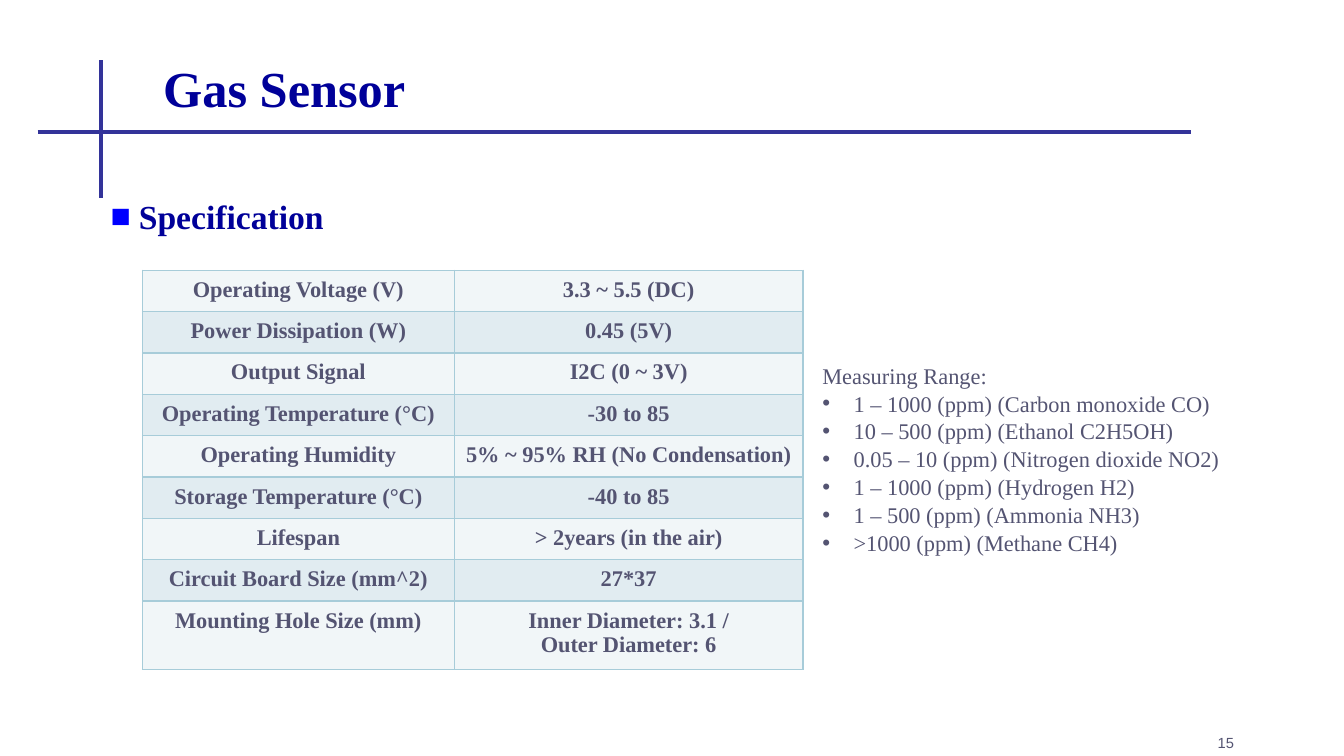
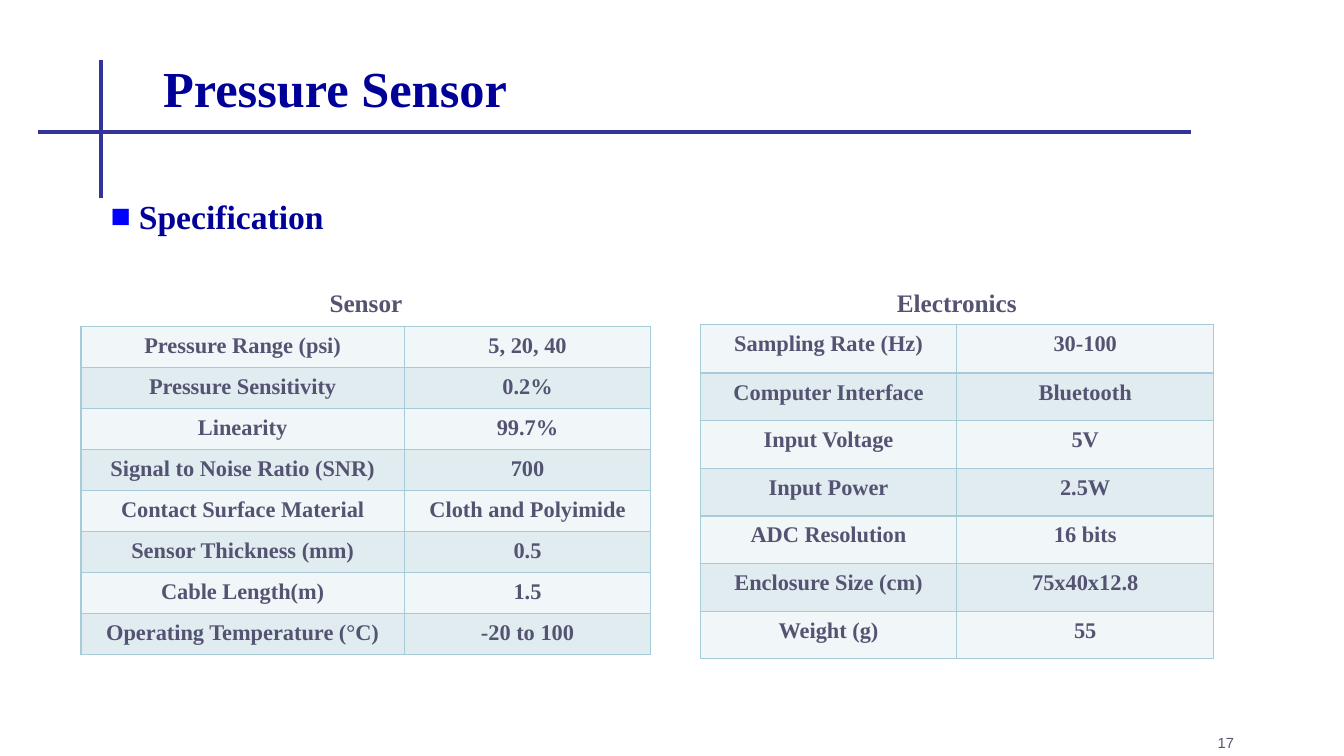
from dataclasses import dataclass

from lxml.etree import SubElement
from pptx import Presentation
from pptx.dml.color import RGBColor
from pptx.enum.shapes import MSO_CONNECTOR as Connector
from pptx.enum.text import MSO_ANCHOR as Anchor, PP_ALIGN as Align
from pptx.oxml.ns import qn
from pptx.util import Inches, Pt


@dataclass(frozen=True)
class Theme:
    """Colours, fonts and sizes shared by all slides."""
    rule: str = "333399"
    heading: str = "000099"
    marker: str = "0000FF"
    text: str = "545472"
    border: str = "A7CCD9"
    bands: tuple = ("F1F6F8", "E1ECF1")
    serif: str = "Times New Roman"
    sans: str = "Arial"
    title_size: float = 36
    section_size: float = 24
    caption_size: float = 18
    body_size: float = 16
    number_size: float = 10.5
    rule_width: float = 3
    border_width: float = 1
    cell_margin: float = 0.07


THEME = Theme()


def add_bullet(para, char, color, indent):
    """Give a paragraph a hanging bullet."""
    props = para._p.get_or_add_pPr()
    props.set("marL", str(Inches(indent)))
    props.set("indent", str(-Inches(indent)))
    bullet_color = SubElement(props, qn("a:buClr"))
    SubElement(bullet_color, qn("a:srgbClr"), val=color)
    SubElement(props, qn("a:buFont"), typeface=THEME.sans)
    SubElement(props, qn("a:buChar"), char=char)


def write_text(frame, text, size=THEME.body_size, color=THEME.text,
               font=THEME.serif, bold=False, align=Align.LEFT, spacing=None,
               bullet=None, bullet_color=THEME.text, indent=0.31, plain_lines=0):
    """Write one paragraph per line; the first plain_lines get no bullet."""
    for index, line in enumerate(text.split("\n")):
        para = frame.add_paragraph() if index else frame.paragraphs[0]
        if bullet and index >= plain_lines:
            add_bullet(para, bullet, bullet_color, indent)
        para.alignment = align
        if spacing:
            para.line_spacing = spacing
        span = para.add_run()
        span.text = line
        span.font.size = Pt(size)
        span.font.name = font
        span.font.bold = bold
        span.font.color.rgb = RGBColor.from_string(color)


class SensorDeck:
    """Holds the deck and the current page; lengths are percent of the slide."""

    def __init__(self):
        self.deck = Presentation()
        self.deck.slide_width = Inches(13.33)
        self.deck.slide_height = Inches(7.5)
        self.page = None

    def x(self, share):
        return round(self.deck.slide_width * share / 100)

    def y(self, share):
        return round(self.deck.slide_height * share / 100)

    def start_page(self, title, number):
        """Add a page with its crossing rules, title, section and number."""
        self.page = self.deck.slides.add_slide(self.deck.slide_layouts[6])
        self.rule(2.8, 17.45, 88.6, 17.45)
        self.rule(7.5, 8, 7.5, 26.25)
        self.text(title, 11.4, 4.8, 81.1, 13.6, anchor=Anchor.MIDDLE,
                  size=THEME.title_size, color=THEME.heading, bold=True)
        self.text("Specification", 7.5, 25.3, 73, 7, size=THEME.section_size,
                  color=THEME.heading, bold=True, bullet="■",
                  bullet_color=THEME.marker, indent=0.28)
        self.text(str(number), 71.7, 93.33, 20.85, 6.67, anchor=Anchor.BOTTOM,
                  size=THEME.number_size, font=THEME.sans, align=Align.RIGHT)

    def rule(self, left, top, right, bottom):
        line = self.page.shapes.add_connector(
            Connector.STRAIGHT, self.x(left), self.y(top), self.x(right), self.y(bottom))
        line.line.color.rgb = RGBColor.from_string(THEME.rule)
        line.line.width = Pt(THEME.rule_width)
        SubElement(line._element.spPr, qn("a:effectLst"))

    def text(self, text, left, top, width, height, anchor=Anchor.TOP, **style):
        box = self.page.shapes.add_textbox(
            self.x(left), self.y(top), self.x(width), self.y(height))
        box.text_frame.word_wrap = True
        box.text_frame.vertical_anchor = anchor
        write_text(box.text_frame, text, **style)

    def caption(self, text, left, width):
        self.text(text, left, 37.3, width, 5.33, size=THEME.caption_size,
                  bold=True, align=Align.CENTER)

    def table(self, entries, left, top, widths, heights):
        """Add a banded table; heights holds one share per row."""
        table = self.page.shapes.add_table(
            len(entries), len(widths), self.x(left), self.y(top),
            self.x(sum(widths)), self.y(sum(heights))).table
        table.first_row = table.horz_banding = False
        for column, width in zip(table.columns, widths):
            column.width = self.x(width)
        for index, (entry, height) in enumerate(zip(entries, heights)):
            table.rows[index].height = self.y(height)
            band = THEME.bands[index % len(THEME.bands)]
            for cell, text in zip(table.rows[index].cells, entry):
                self.cell(cell, text, band)

    def cell(self, cell, text, band):
        margin = Inches(THEME.cell_margin)
        cell.margin_left = cell.margin_right = margin
        cell.margin_top = cell.margin_bottom = margin
        # Borders come before the fill in the cell properties
        props = cell._tc.get_or_add_tcPr()
        for side in ("L", "R", "T", "B"):
            edge = SubElement(props, qn(f"a:ln{side}"), w=str(Pt(THEME.border_width)))
            fill = SubElement(edge, qn("a:solidFill"))
            SubElement(fill, qn("a:srgbClr"), val=THEME.border)
        cell.fill.solid()
        cell.fill.fore_color.rgb = RGBColor.from_string(band)
        write_text(cell.text_frame, text, bold=True, align=Align.CENTER)


# Slide contents
GAS_SPECS = [
    ("Operating Voltage (V)", "3.3 ~ 5.5 (DC)"),
    ("Power Dissipation (W)", "0.45 (5V)"),
    ("Output Signal", "I2C (0 ~ 3V)"),
    ("Operating Temperature (°C)", "-30 to 85"),
    ("Operating Humidity", "5% ~ 95% RH (No Condensation)"),
    ("Storage Temperature (°C)", "-40 to 85"),
    ("Lifespan", "> 2years (in the air)"),
    ("Circuit Board Size (mm^2)", "27*37"),
    ("Mounting Hole Size (mm)", "Inner Diameter: 3.1 /\nOuter Diameter: 6"),
]
GAS_RANGES = """Measuring Range:
1 – 1000 (ppm) (Carbon monoxide CO)
10 – 500 (ppm) (Ethanol C2H5OH)
0.05 – 10 (ppm) (Nitrogen dioxide NO2)
1 – 1000 (ppm) (Hydrogen H2)
1 – 500 (ppm) (Ammonia NH3)
>1000 (ppm) (Methane CH4)"""
PRESSURE_SPECS = [
    ("Pressure Range (psi)", "5, 20, 40"),
    ("Pressure Sensitivity", "0.2%"),
    ("Linearity", "99.7%"),
    ("Signal to Noise Ratio (SNR)", "700"),
    ("Contact Surface Material", "Cloth and Polyimide"),
    ("Sensor Thickness (mm)", "0.5"),
    ("Cable Length(m)", "1.5"),
    ("Operating Temperature (°C)", "-20 to 100"),
]
ELECTRONICS_SPECS = [
    ("Sampling Rate (Hz)", "30-100"),
    ("Computer Interface", "Bluetooth"),
    ("Input Voltage", "5V"),
    ("Input Power", "2.5W"),
    ("ADC Resolution", "16 bits"),
    ("Enclosure Size (cm)", "75x40x12.8"),
    ("Weight (g)", "55"),
]


def main():
    sensors = SensorDeck()

    # Gas sensor
    sensors.start_page("Gas Sensor", 15)
    sensors.table(GAS_SPECS, 10.6, 35.75, (23.2, 25.95), [5.47] * 8 + [9.05])
    sensors.text(GAS_RANGES, 60.45, 47.05, 36.2, 30.5, spacing=1.04,
                 bullet="•", plain_lines=1)

    # Pressure sensor
    sensors.start_page("Pressure Sensor", 17)
    sensors.table(PRESSURE_SPECS, 6.03, 43.2, (24.05, 18.35),
                  [5.16] * 6 + [5.4, 5.16])
    sensors.table(ELECTRONICS_SPECS, 52.1, 42.95, (19.1, 19.1), [6.4] + [6.3] * 6)
    sensors.caption("Sensor", 6.03, 42.4)
    sensors.caption("Electronics", 52.1, 38.2)

    sensors.deck.save("out.pptx")


if __name__ == "__main__":
    main()
